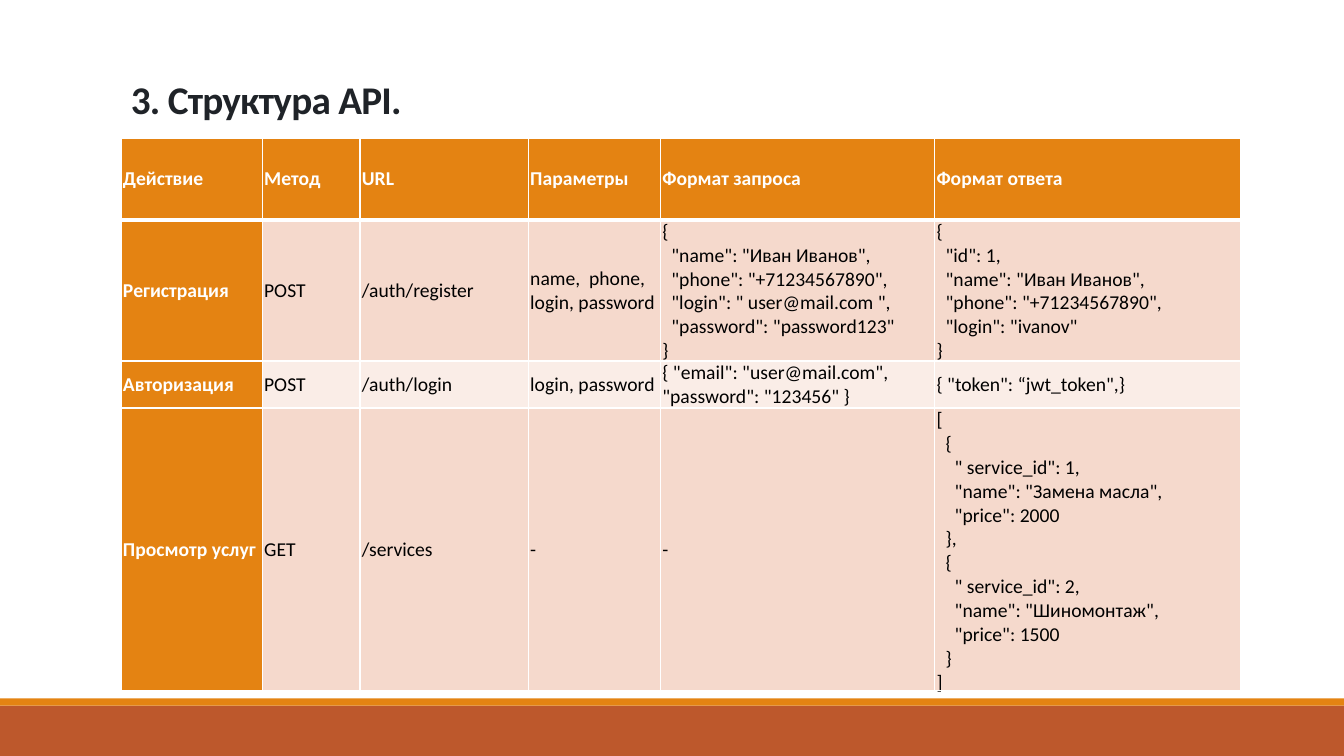
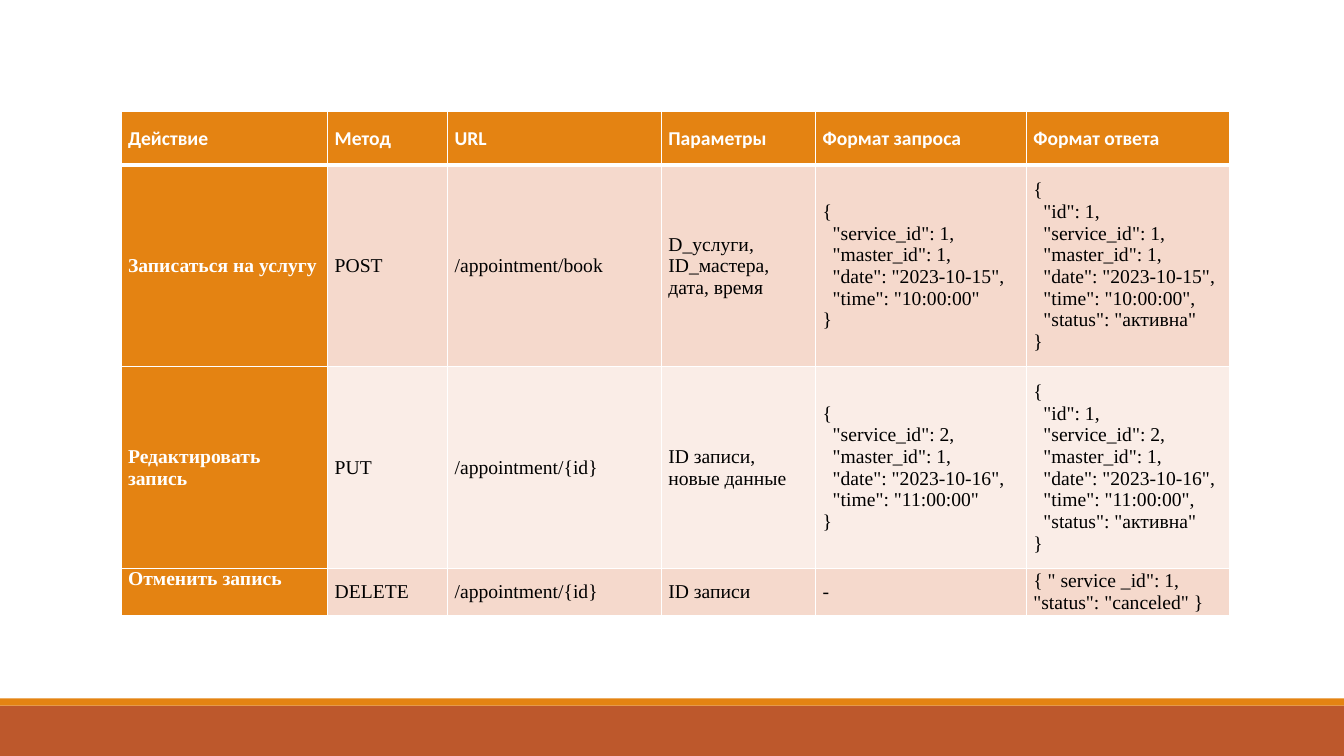
from lxml.etree import SubElement
from pptx import Presentation
from pptx.dml.color import RGBColor as Rgb
from pptx.enum.shapes import MSO_SHAPE as Shape
from pptx.enum.text import MSO_ANCHOR as Anchor
from pptx.oxml.ns import qn
from pptx.util import Inches, Pt

COLORS = {
    "rust": "BD582C", "orange": "E48312", "white": "FFFFFF",
    "title": "1F2328", "text": "000000", "rose": "F5D9CC", "blush": "FAEDE7",
}
TITLE_FORMAT = {"name": "Calibri", "size": Pt(28), "bold": True}
CELL_FORMAT = {"name": "Calibri", "size": Pt(14), "bold": False}
HEADINGS = ["Действие", "Метод", "URL", "Параметры", "Формат запроса", "Формат ответа"]
SLIDE_WIDTH = 13.33

# Tables: text font, width of one code indent, side inset, place, columns, rows
AUTH_TABLE = {
    "font": "Calibri", "indent": 0.09, "inset": 0.02, "place": (1.2, 1.37),
    "columns": [1.4, 0.97, 1.67, 1.31, 2.72, 3.04],
    "heights": [0.81, 1.31, 0.44, 2.62],
}
BOOKING_TABLE = {
    "font": "Times New Roman", "indent": 0.1, "inset": 0.07, "place": (1.2, 1.11),
    "columns": [2.05, 1.19, 2.12, 1.53, 2.09, 2.02],
    "heights": [0.53, 2, 2, 0.47],
}


# Code samples: a list of (indent level, line)
def block(*fields, level=0):
    last = len(fields) - 1
    body = [(level + 1, field + ("," if i < last else "")) for i, field in enumerate(fields)]
    return [(level, "{"), *body, (level, "}")]


def service_list(*services):
    lines = [(0, "[")]
    for number, (service, price) in enumerate(services, 1):
        lines += block(f'" service_id": {number}', f'"name": "{service}"',
                       f'"price": {price}', level=1)
        if number < len(services):
            lines[-1] = (1, "},")
    return lines + [(0, "]")]


def booking_samples(service, date, time):
    booking = [f'"service_id": {service}', '"master_id": 1',
               f'"date": "{date}"', f'"time": "{time}"']
    return block(*booking), block('"id": 1', *booking, '"status": "активна"')


# Text
def add_run(paragraph, text, text_format, color):
    run = paragraph.add_run()
    run.text = text
    for attribute, value in text_format.items():
        setattr(run.font, attribute, value)
    run.font.color.rgb = Rgb.from_string(COLORS[color])
    return run


def add_title(slide, text):
    frame = slide.shapes.add_textbox(Inches(1.2), Inches(0.31), Inches(11), Inches(0.95)).text_frame
    frame.word_wrap = True
    frame.vertical_anchor = Anchor.BOTTOM
    heading = frame.paragraphs[0]
    heading.line_spacing = 0.85
    run = add_run(heading, text, TITLE_FORMAT, "title")
    run.font._element.set("spc", "-50")


# Bands at the foot of every slide
def add_bands(slide):
    for color, top, height in (("rust", 7, 0.5), ("orange", 6.93, 0.07)):
        band = slide.shapes.add_shape(Shape.RECTANGLE, 0, Inches(top),
                                      Inches(SLIDE_WIDTH), Inches(height))
        band.shadow.inherit = False
        band.fill.solid()
        band.fill.fore_color.rgb = Rgb.from_string(COLORS[color])
        band.line.fill.background()


# Table cells
def set_borders(cell, row):
    widths = {"lnL": 1, "lnR": 1, "lnT": 3 if row == 1 else 1, "lnB": 3 if row == 0 else 1}
    properties = cell._tc.get_or_add_tcPr()
    for side, width in widths.items():
        line = SubElement(properties, qn(f"a:{side}"), w=str(Pt(width)))
        fill = SubElement(line, qn("a:solidFill"))
        SubElement(fill, qn("a:srgbClr"), val=COLORS["white"])


def fill_cell(cell, content, layout, row, column):
    accent = row == 0 or column == 0
    set_borders(cell, row)
    cell.fill.solid()
    background = "orange" if accent else ("rose" if row % 2 else "blush")
    cell.fill.fore_color.rgb = Rgb.from_string(COLORS[background])
    side = Inches(layout["inset"])
    placement = {"margin_left": side, "margin_right": side, "margin_top": 0,
                 "margin_bottom": 0, "vertical_anchor": Anchor.MIDDLE}
    for attribute, value in placement.items():
        setattr(cell, attribute, value)

    text_format = CELL_FORMAT | {"bold": accent}
    if row > 0:
        text_format["name"] = layout["font"]
    lines = [(0, content)] if isinstance(content, str) else content
    for number, (level, text) in enumerate(lines):
        frame = cell.text_frame
        paragraph = frame.add_paragraph() if number else frame.paragraphs[0]
        if level:
            indent = Inches(layout["indent"] * level)
            paragraph._p.get_or_add_pPr().set("marL", str(indent))
        add_run(paragraph, text, text_format, "white" if accent else "text")


def add_api_table(slide, layout, requests):
    rows = [HEADINGS, *requests]
    left, top = layout["place"]
    table = slide.shapes.add_table(
        len(rows), len(HEADINGS), Inches(left), Inches(top),
        Inches(sum(layout["columns"])), Inches(sum(layout["heights"]))).table
    for column, width in zip(table.columns, layout["columns"]):
        column.width = Inches(width)
    for row, height in zip(table.rows, layout["heights"]):
        row.height = Inches(height)
    for r, contents in enumerate(rows):
        for c, content in enumerate(contents):
            fill_cell(table.cell(r, c), content, layout, r, c)
    return table


def add_slide(deck):
    slide = deck.slides.add_slide(deck.slide_layouts[6])
    add_bands(slide)
    return slide


def main():
    deck = Presentation()
    deck.slide_width, deck.slide_height = Inches(SLIDE_WIDTH), Inches(7.5)

    # Accounts and services
    accounts = add_slide(deck)
    add_title(accounts, "3. Структура API.")
    person = ['"name": "Иван Иванов"', '"phone": "+71234567890"']
    add_api_table(accounts, AUTH_TABLE, [
        ["Регистрация", "POST", "/auth/register", "name,  phone, login, password",
         block(*person, '"login": " user@mail.com "', '"password": "password123"'),
         block('"id": 1', *person, '"login": "ivanov"')],
        ["Авторизация", "POST", "/auth/login", "login, password",
         '{ "email": "user@mail.com", "password": "123456" }',
         '{ "token": “jwt_token",}'],
        ["Просмотр услуг", "GET", "/services", "-", "-",
         service_list(("Замена масла", 2000), ("Шиномонтаж", 1500))],
    ])

    # Appointments
    appointments = add_slide(deck)
    table = add_api_table(appointments, BOOKING_TABLE, [
        ["Записаться на услугу", "POST", "/appointment/book",
         "D_услуги, ID_мастера, дата, время",
         *booking_samples(1, "2023-10-15", "10:00:00")],
        ["Редактировать запись", "PUT", "/appointment/{id}", "ID записи, новые данные",
         *booking_samples(2, "2023-10-16", "11:00:00")],
        ["Отменить запись", "DELETE", "/appointment/{id}", "ID записи", "-",
         '{ " service _id": 1, "status": "canceled" }'],
    ])
    table.cell(3, 0).vertical_anchor = Anchor.TOP

    deck.save("out.pptx")


if __name__ == "__main__":
    main()
